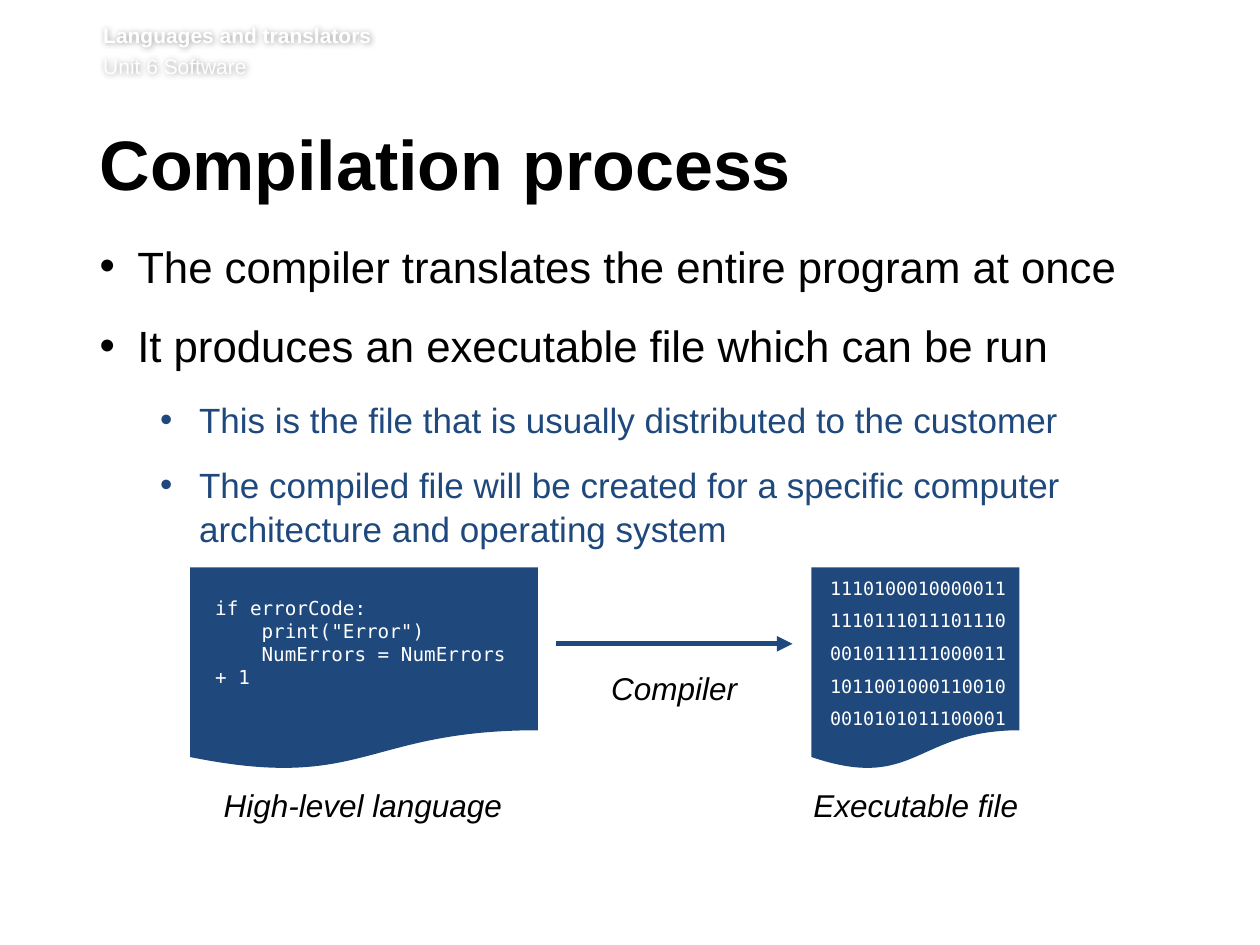
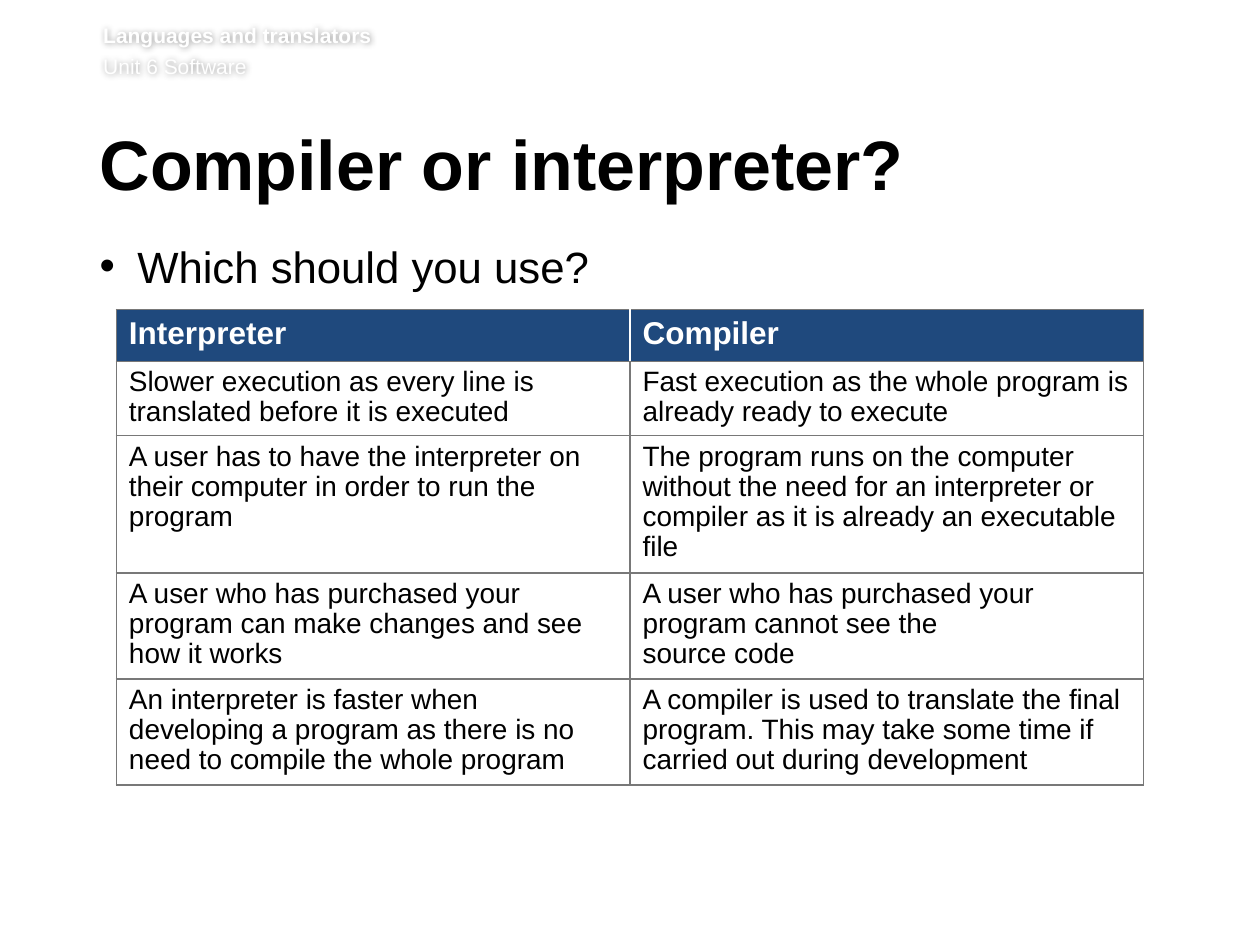
"""Build two slides on compilers and interpreters."""
import dataclasses

import lxml.etree
import pptx
import pptx.dml.color
import pptx.enum.shapes
import pptx.enum.text
import pptx.oxml.ns
import pptx.util

Pt = pptx.util.Pt
qn = pptx.oxml.ns.qn
ALIGN = pptx.enum.text.PP_ALIGN
ANCHOR = pptx.enum.text.MSO_ANCHOR
SHAPE = pptx.enum.shapes.MSO_SHAPE


@dataclasses.dataclass(frozen=True)
class Theme:
    sans: str = "Arial"
    mono: str = "DejaVu Sans Mono"
    ink: str = "000000"
    paper: str = "FFFFFF"
    navy: str = "1F497D"
    rule: str = "787878"
    header: float = 12
    title: float = 40
    label: float = 18
    cell: float = 16
    code: float = 11
    binary: float = 10.5


THEME = Theme()
LEVELS = [
    dict(size=25, color=THEME.ink, left=21.6, hang=21.6, after=14),
    dict(size=20, color=THEME.navy, left=56.9, hang=22.3, after=12),
]

HEADER = [("Languages and translators", True), ("Unit 6 Software", False)]

PROCESS_TITLE = "Compilation process"
PROCESS_POINTS = [
    (0, "The compiler translates the entire program at once"),
    (0, "It produces an executable file which can be run"),
    (1, "This is the file that is usually distributed to the customer"),
    (1, "The compiled file will be created for a specific computer "
        "architecture and operating system"),
]
SOURCE_CODE = [
    "if errorCode:",
    '    print("Error")',
    "    NumErrors = NumErrors + 1",
]
MACHINE_CODE = [
    "1110100010000011",
    "1110111011101110",
    "0010111111000011",
    "1011001000110010",
    "0010101011100001",
]
DIAGRAM_LABELS = [
    ("Compiler", (317.5, 378.7, 135.4, 28.8)),
    ("High-level language", (108.7, 445.7, 197.3, 28.8)),
    ("Executable file", (455, 445.7, 136.8, 28.8)),
]

CHOICE_TITLE = "Compiler or interpreter?"
CHOICE_POINTS = [(0, "Which should you use?")]
COMPARISON = [
    ("Interpreter", "Compiler"),
    ("Slower execution as every line is translated before it is executed",
     "Fast execution as the whole program is already ready to execute"),
    ("A user has to have the interpreter on their computer in order to run the program",
     "The program runs on the computer without the need for an interpreter or "
     "compiler as it is already an executable file"),
    ("A user who has purchased your program can make changes and see how it works",
     "A user who has purchased your program cannot see the \nsource code"),
    ("An interpreter is faster when developing a program as there is no need to "
     "compile the whole program",
     "A compiler is used to translate the final program. This may take some time "
     "if carried out during development"),
]
ROW_HEIGHTS = [29.5, 42.5, 78.5, 60.5, 60.5]


def points(box):
    return [Pt(value) for value in box]


def rgb(color):
    return pptx.dml.color.RGBColor.from_string(color)


def paint(shape, color):
    shape.fill.solid()
    shape.fill.fore_color.rgb = rgb(color)


def xml(parent, tag, **attributes):
    return lxml.etree.SubElement(parent, qn(tag), attributes)


def write(paragraph, text, size, color, font=THEME.sans, bold=False, italic=False):
    for index, line in enumerate(text.split("\n")):
        if index:
            paragraph.add_line_break()
        run = paragraph.add_run()
        run.text = line
        run.font.name, run.font.size = font, Pt(size)
        run.font.bold, run.font.italic = bold, italic
        run.font.color.rgb = rgb(color)


def set_frame(frame, insets, anchor=ANCHOR.TOP):
    frame.word_wrap = True
    frame.auto_size = pptx.enum.text.MSO_AUTO_SIZE.NONE
    frame.vertical_anchor = anchor
    (frame.margin_left, frame.margin_top,
     frame.margin_right, frame.margin_bottom) = points(insets)


def add_text(shapes, box, insets=(7.2, 3.6, 7.2, 3.6)):
    textbox = shapes.add_textbox(*points(box))
    set_frame(textbox.text_frame, insets)
    return textbox


def paragraphs(frame, count):
    return [frame.paragraphs[0]] + [frame.add_paragraph() for _ in range(count - 1)]


def add_header(slide):
    header = add_text(slide.shapes, (59, 13, 635, 35.3), (0, 0, 0, 3.6))
    lines = paragraphs(header.text_frame, len(HEADER))
    for paragraph, (text, bold) in zip(lines, HEADER):
        write(paragraph, text, THEME.header, THEME.paper, bold=bold)
    for paragraph in lines[1:]:
        paragraph.space_before = Pt(2.9)
    effects = xml(header._element.spPr, "a:effectLst")
    shadow = xml(effects, "a:outerShdw", blurRad=str(Pt(4)), dist="0",
                 algn="ctr", rotWithShape="0")
    xml(xml(shadow, "a:srgbClr", val=THEME.ink), "a:alpha", val="40000")


def add_points(slide, items):
    body = add_text(slide.shapes, (56.9, 135.5, 614.2, 404), (0, 0, 7.2, 3.6))
    for paragraph, (depth, text) in zip(paragraphs(body.text_frame, len(items)), items):
        level = LEVELS[depth]
        properties = paragraph._p.get_or_add_pPr()
        properties.set("marL", str(Pt(level["left"])))
        properties.set("indent", str(-Pt(level["hang"])))
        xml(properties, "a:buFont", typeface=THEME.sans)
        xml(properties, "a:buChar", char="•")
        paragraph.level = depth
        paragraph.line_spacing = 1.05
        paragraph.space_after = Pt(level["after"])
        write(paragraph, text, level["size"], level["color"])


def start_slide(deck, heading, items):
    slide = deck.slides.add_slide(deck.slide_layouts[5])
    add_header(slide)
    title = slide.shapes.title
    title.left, title.top, title.width, title.height = points((56.9, 71.3, 615.6, 52.6))
    set_frame(title.text_frame, (0, 3.6, 7.2, 3.6), ANCHOR.MIDDLE)
    paragraph = title.text_frame.paragraphs[0]
    paragraph.alignment = ALIGN.LEFT
    paragraph.line_spacing = Pt(39)
    write(paragraph, heading, THEME.title, THEME.ink, bold=True)
    add_points(slide, items)
    return slide


def add_document(slide, left, width, text_box, insets, lines, size, indent=0):
    group = slide.shapes.add_group_shape().shapes
    document = group.add_shape(SHAPE.FLOWCHART_DOCUMENT, *points((left, 324.3, width, 116)))
    document.shadow.inherit = False
    paint(document, THEME.navy)
    document.line.fill.background()
    frame = add_text(group, text_box, insets).text_frame
    for paragraph, line in zip(paragraphs(frame, len(lines)), lines):
        paragraph._p.get_or_add_pPr().set("marL", str(Pt(indent)))
        paragraph.space_after = Pt(6)
        write(paragraph, line, size, THEME.paper, THEME.mono)


def add_arrow(slide, left, right, y):
    arrow = slide.shapes.add_connector(
        pptx.enum.shapes.MSO_CONNECTOR.STRAIGHT, *points((left, y, right, y)))
    arrow.line.color.rgb = rgb(THEME.navy)
    arrow.line.width = Pt(3)
    xml(arrow.line._get_or_add_ln(), "a:tailEnd", type="triangle")
    xml(arrow._element.spPr, "a:effectLst")


def build_process(deck):
    slide = start_slide(deck, PROCESS_TITLE, PROCESS_POINTS)
    add_document(slide, 108.7, 198.7, (108.7, 337, 197.3, 47.5), (7.2, 3.6, 7.2, 3.6),
                 ["\n".join(SOURCE_CODE)], THEME.code, indent=7.2)
    add_document(slide, 463.7, 118.8, (467.3, 326.2, 115.2, 95), (7.2, 3.6, 4, 3.6),
                 MACHINE_CODE, THEME.binary)
    add_arrow(slide, 317.5, 452.9, 367.9)
    for text, box in DIAGRAM_LABELS:
        paragraph = add_text(slide.shapes, box).text_frame.paragraphs[0]
        paragraph.alignment = ALIGN.CENTER
        write(paragraph, text, THEME.label, THEME.ink, italic=True)


def set_borders(cell, colors):
    properties = cell._tc.get_or_add_tcPr()
    for index, (side, color) in enumerate(zip("LRTB", colors)):
        line = xml(properties, f"a:ln{side}", w=str(Pt(1)))
        xml(xml(line, "a:solidFill"), "a:srgbClr", val=color)
        properties.insert(index, line)


def build_choice(deck):
    slide = start_slide(deck, CHOICE_TITLE, CHOICE_POINTS)
    box = (66.5, 177, 587, sum(ROW_HEIGHTS))
    table = slide.shapes.add_table(len(COMPARISON), 2, *points(box)).table
    table.horz_banding = False
    for row, (texts, height) in enumerate(zip(COMPARISON, ROW_HEIGHTS)):
        table.rows[row].height = Pt(height)
        heading = row == 0
        for column, text in enumerate(texts):
            cell = table.cell(row, column)
            paint(cell, THEME.navy if heading else THEME.paper)
            inner = THEME.paper if heading else THEME.rule
            sides = (THEME.rule, inner) if column == 0 else (inner, THEME.rule)
            set_borders(cell, (*sides, THEME.rule, THEME.rule))
            paragraph = cell.text_frame.paragraphs[0]
            if heading:
                write(paragraph, text, THEME.label, THEME.paper, bold=True)
            else:
                paragraph.line_spacing = 0.97
                write(paragraph, text, THEME.cell, THEME.ink)


def main():
    deck = pptx.Presentation()
    deck.slide_width, deck.slide_height = points((720, 540))
    build_process(deck)
    build_choice(deck)
    deck.save("out.pptx")


if __name__ == "__main__":
    main()
